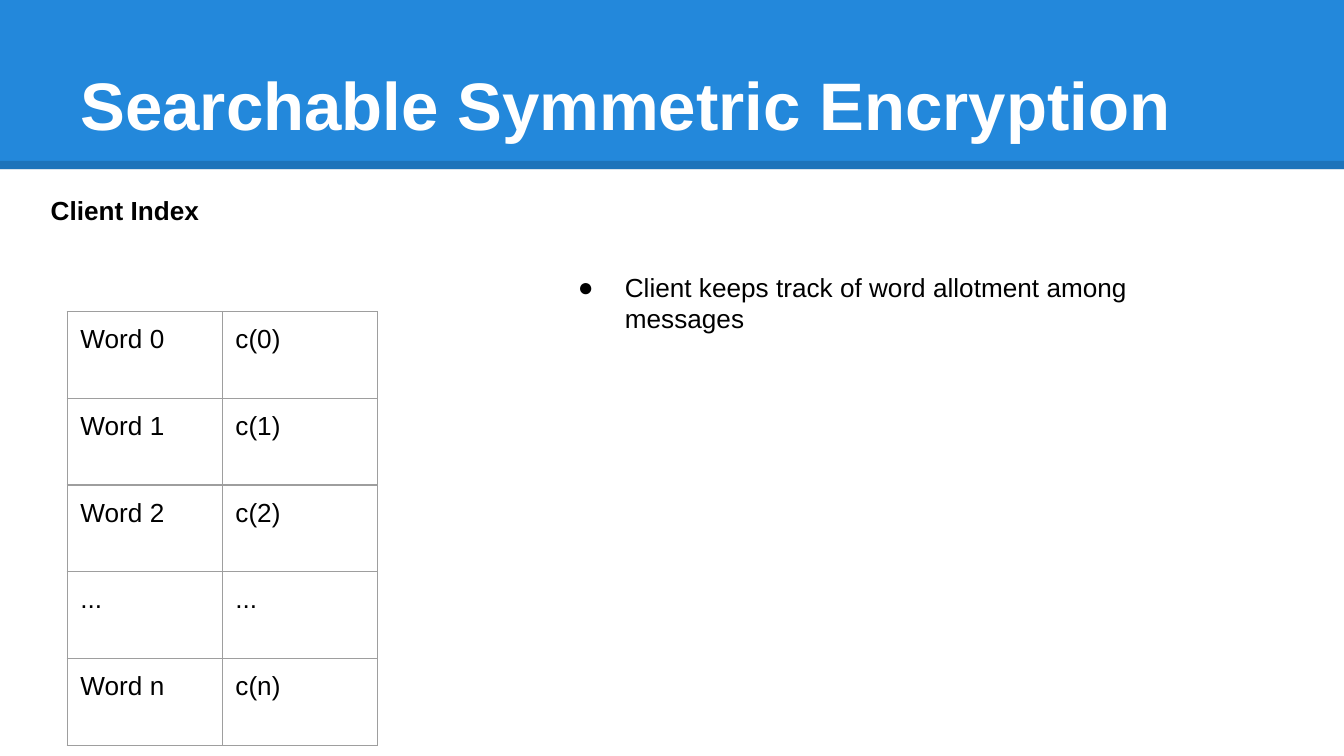
from lxml.etree import SubElement as Sub
from pptx import Presentation
from pptx.dml.color import RGBColor as RGB
from pptx.enum.shapes import MSO_CONNECTOR as Link, MSO_SHAPE as Shape
from pptx.enum.text import MSO_ANCHOR as Anchor, MSO_AUTO_SIZE as Auto, PP_ALIGN as Align
from pptx.oxml.ns import qn
from pptx.util import Cm, Pt

BLUE = RGB(0x23, 0x88, 0xDB)
BLACK = RGB(0, 0, 0)
WHITE = RGB(0xFF, 0xFF, 0xFF)
GREY = RGB(0x9E, 0x9E, 0x9E)
FONT = "Arial"
PAD = Cm(0.25)
WIDTH, HEIGHT = Cm(25.4), Cm(14.29)
ROWS = [
    ("Word 0", "c(0)"),
    ("Word 1", "c(1)"),
    ("Word 2", "c(2)"),
    ("...", "..."),
    ("Word n", "c(n)"),
]


def style(para, size=14, color=BLACK, bold=False):
    para.alignment = Align.LEFT
    for run in para.runs:
        font = run.font
        font.name, font.size, font.bold = FONT, Pt(size), bold
        font.color.rgb = color


def pad(part):
    part.margin_left = part.margin_right = PAD
    part.margin_top = part.margin_bottom = PAD


def add_header(slide, text, left, top, width, height):
    # Blue band
    band = slide.shapes.add_shape(Shape.RECTANGLE, left, top, width, height)
    band.shadow.inherit = False
    band.fill.solid()
    band.fill.fore_color.rgb = BLUE
    band.line.fill.background()

    # Translucent rule along the bottom of the band
    level = top + height - Cm(0.08)
    rule = slide.shapes.add_connector(Link.STRAIGHT, left, level, left + width, level)
    rule.line.width = Pt(4.5)
    rule.line.color.rgb = BLACK
    tint = rule.line._ln.find(".//" + qn("a:srgbClr"))
    Sub(tint, qn("a:alpha"), val="15000")
    Sub(rule._element.spPr, qn("a:effectLst"))

    # Title, brought in front of the band
    title = slide.shapes.title
    title.left, title.top = left + Cm(1.27), top + Cm(0.58)
    title.width, title.height = width - Cm(2.54), Cm(2.39)
    frame = title.text_frame
    frame.text = text
    frame.auto_size = Auto.NONE
    frame.vertical_anchor = Anchor.BOTTOM
    pad(frame)
    style(frame.paragraphs[0], 36, WHITE, True)
    slide.shapes._spTree.append(title._element)


def add_text(slide, text, left, top, width, height, bold=False):
    frame = slide.shapes.add_textbox(left, top, width, height).text_frame
    frame.word_wrap = True
    frame.text = text
    pad(frame)
    para = frame.paragraphs[0]
    style(para, bold=bold)
    return para


def add_bullet(slide, text, left, top, width, height):
    props = add_text(slide, text, left, top, width, height)._p.get_or_add_pPr()
    props.set("marL", str(Cm(1.27)))
    props.set("indent", str(-Cm(0.89)))
    color = Sub(props, qn("a:buClr"))
    Sub(color, qn("a:srgbClr"), val=str(BLACK))
    Sub(props, qn("a:buFont"), typeface=FONT)
    Sub(props, qn("a:buChar"), char="●")


def add_border(cell):
    props = cell._tc.get_or_add_tcPr()
    for spot, side in enumerate(("lnL", "lnR", "lnT", "lnB")):
        line = Sub(props, qn("a:" + side), w=str(Pt(0.75)))
        fill = Sub(line, qn("a:solidFill"))
        Sub(fill, qn("a:srgbClr"), val=str(GREY))
        props.insert(spot, line)  # borders precede the fill


def add_index(slide, rows, left, top, width, height):
    table = slide.shapes.add_table(len(rows), len(rows[0]), left, top, width, height).table
    table.first_row = table.horz_banding = False
    for row, words in zip(table.rows, rows):
        for cell, word in zip(row.cells, words):
            cell.text = word
            cell.fill.background()
            pad(cell)
            style(cell.text_frame.paragraphs[0])
            add_border(cell)


def main():
    deck = Presentation()
    deck.slide_width, deck.slide_height = WIDTH, HEIGHT
    slide = deck.slides.add_slide(deck.slide_layouts.get_by_name("Title Only"))

    add_header(slide, "Searchable Symmetric Encryption", 0, 0, WIDTH, Cm(3.2))
    add_index(slide, ROWS, Cm(1.27), Cm(5.89), Cm(5.86), Cm(8.2))
    add_text(slide, "Client Index", Cm(0.71), Cm(3.43), Cm(10.54), Cm(1.45), True)
    add_bullet(slide, "Client keeps track of word allotment among messages",
               Cm(10.29), Cm(4.88), Cm(13.49), Cm(9.19))
    deck.save("out.pptx")


if __name__ == "__main__":
    main()
